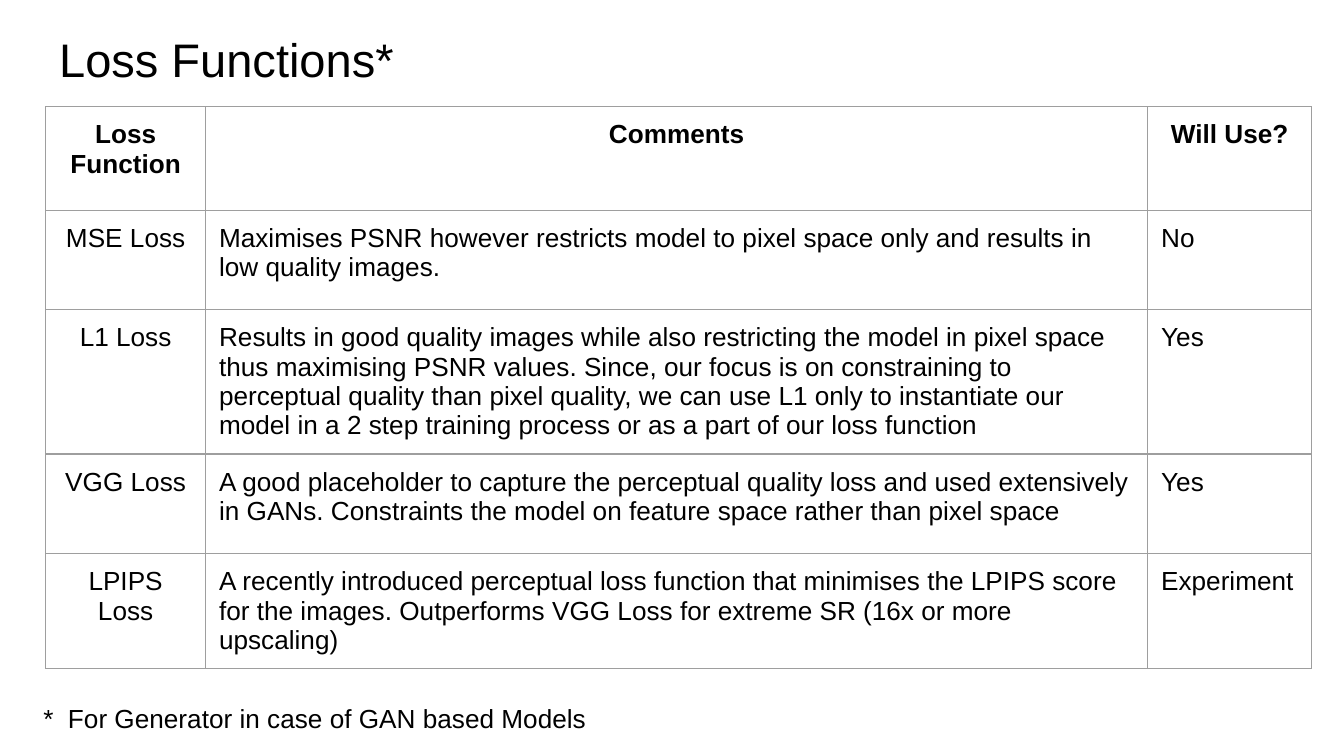
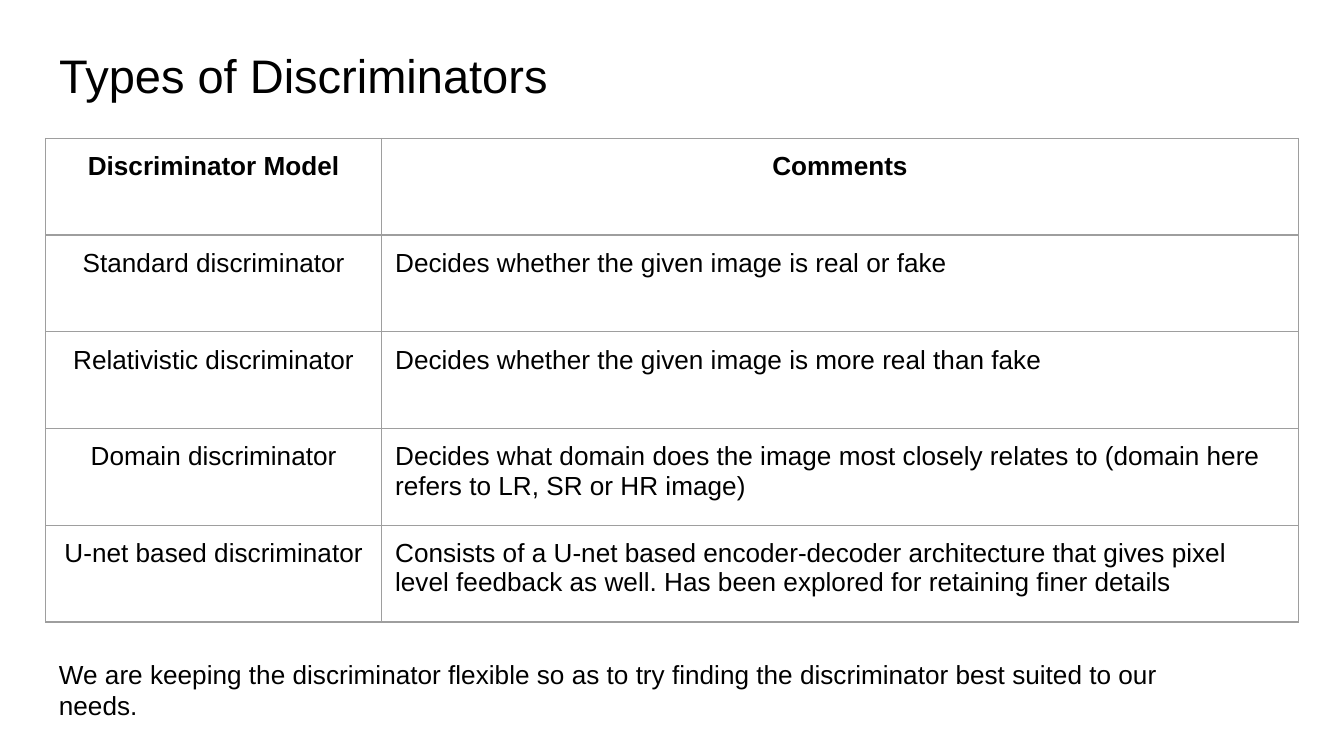
from lxml.etree import SubElement
from pptx import Presentation
from pptx.dml.color import RGBColor
from pptx.enum.text import MSO_ANCHOR as Anchor, MSO_AUTO_SIZE as AutoSize, PP_ALIGN as Align
from pptx.oxml.ns import qn
from pptx.util import Inches, Pt

COLORS = {"text": "000000", "page": "FFFFFF", "border": "9E9E9E"}
INSET = Inches(0.1)
FRAME = {
    "margin_left": INSET,
    "margin_right": INSET,
    "margin_top": INSET,
    "margin_bottom": INSET,
    "word_wrap": True,
}
TITLE_FONT = {"name": "Arial", "size": Pt(25.2), "bold": False}
BODY_FONT = {"name": "Arial", "size": Pt(14), "bold": False}
HEADER_FONT = {**BODY_FONT, "bold": True}

deck = Presentation()
deck.slide_width = Inches(10)
deck.slide_height = Inches(5.625)
LEFT = 3.4


def area(left, top, width, height):
    across, down = deck.slide_width / 100, deck.slide_height / 100
    return [int(left * across), int(top * down), int(width * across), int(height * down)]


def write(frame, text, font, align=Align.LEFT):
    for name, value in FRAME.items():
        setattr(frame, name, value)
    para = frame.paragraphs[0]
    para.alignment = align
    span = para.add_run()
    span.text = text
    for name, value in font.items():
        setattr(span.font, name, value)
    span.font.color.rgb = RGBColor.from_string(COLORS["text"])


PAGES = [
    {
        "title": "Loss Functions*",
        "title_top": 2.13,
        "table_top": 14.1,
        "columns": [11.9, 70.1, 12.2],
        "rows": [13.7] + [13.16] * 4,
        "cells": [
            ["Loss Function", "Comments", "Will Use?"],
            [
                "MSE Loss",
                "Maximises PSNR however restricts model to pixel space only and results in low quality images.",
                "No",
            ],
            [
                "L1 Loss",
                "Results in good quality images while also restricting the model in pixel space thus "
                "maximising PSNR values. Since, our focus is on constraining to perceptual quality than "
                "pixel quality, we can use L1 only to instantiate our model in a 2 step training process "
                "or as a part of our loss function",
                "Yes",
            ],
            [
                "VGG Loss",
                "A good placeholder to capture the perceptual quality loss and used extensively in GANs. "
                "Constraints the model on feature space rather than pixel space",
                "Yes",
            ],
            [
                "LPIPS Loss",
                "A recently introduced perceptual loss function that minimises the LPIPS score for the "
                "images. Outperforms VGG Loss for extreme SR (16x or more upscaling)",
                "Experiment",
            ],
        ],
        "note": " *  For Generator in case of GAN based Models",
        "note_area": [1.7, 91.2, 68.4, 7.8],
    },
    {
        "title": "Types of Discriminators",
        "title_top": 4.27,
        "table_top": 18.3,
        "columns": [25, 68.2],
        "rows": [12.8] * 5,
        "cells": [
            ["Discriminator Model", "Comments"],
            ["Standard discriminator", "Decides whether the given image is real or fake"],
            ["Relativistic discriminator", "Decides whether the given image is more real than fake"],
            [
                "Domain discriminator",
                "Decides what domain does the image most closely relates to "
                "(domain here refers to LR, SR or HR image)",
            ],
            [
                "U-net based discriminator",
                "Consists of a U-net based encoder-decoder architecture that gives pixel level feedback "
                "as well. Has been explored for retaining finer details",
            ],
        ],
        "note": "We are keeping the discriminator flexible so as to try finding the discriminator "
        "best suited to our needs.",
        "note_area": [LEFT, 85.3, 88.6, 11.9],
    },
]

for content in PAGES:
    page = deck.slides.add_slide(deck.slide_layouts[5])
    page.background.fill.solid()
    page.background.fill.fore_color.rgb = RGBColor.from_string(COLORS["page"])

    title = page.shapes.title
    title_area = area(LEFT, content["title_top"], 93.2, 11.2)
    for name, value in zip(("left", "top", "width", "height"), title_area):
        setattr(title, name, value)
    title.text_frame.auto_size = AutoSize.NONE
    title.text_frame.vertical_anchor = Anchor.MIDDLE
    write(title.text_frame, content["title"], TITLE_FONT)

    columns, rows = content["columns"], content["rows"]
    table_area = area(LEFT, content["table_top"], sum(columns), sum(rows))
    table = page.shapes.add_table(len(rows), len(columns), *table_area).table
    table.first_row = False
    table.horz_banding = False
    for column, share in zip(table.columns, columns):
        column.width = int(deck.slide_width * share / 100)
    for row, share in zip(table.rows, rows):
        row.height = int(deck.slide_height * share / 100)

    for r, texts in enumerate(content["cells"]):
        for c, text in enumerate(texts):
            cell = table.cell(r, c)
            centred = r == 0 or c == 0
            write(
                cell.text_frame,
                text,
                HEADER_FONT if r == 0 else BODY_FONT,
                Align.CENTER if centred else Align.LEFT,
            )
            for side in ("margin_left", "margin_right", "margin_top", "margin_bottom"):
                setattr(cell, side, INSET)
            properties = cell._tc.get_or_add_tcPr()
            for side in ("a:lnL", "a:lnR", "a:lnT", "a:lnB"):
                line = SubElement(properties, qn(side), w=str(Pt(0.75)))
                fill = SubElement(line, qn("a:solidFill"))
                SubElement(fill, qn("a:srgbClr"), val=COLORS["border"])
            cell.fill.background()

    note = page.shapes.add_textbox(*area(*content["note_area"]))
    note.text_frame.auto_size = AutoSize.SHAPE_TO_FIT_TEXT
    write(note.text_frame, content["note"], BODY_FONT)

deck.save("out.pptx")
